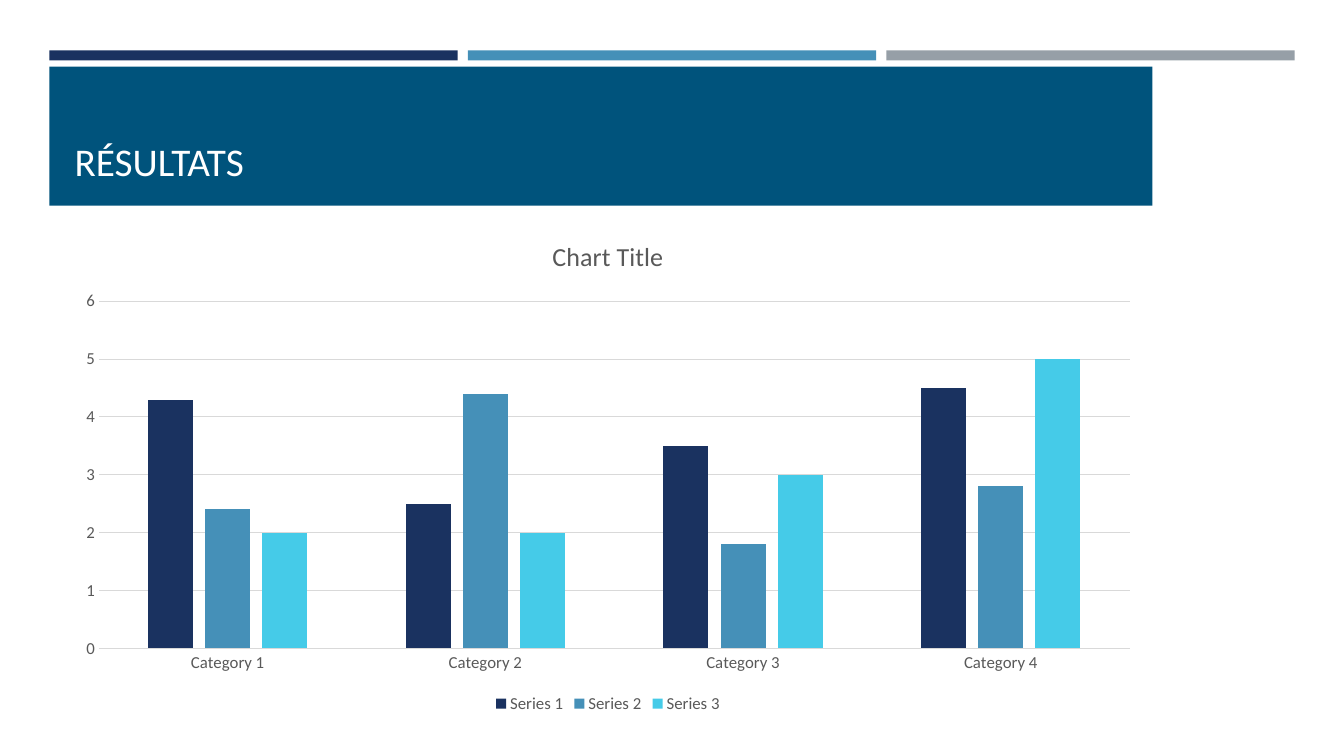
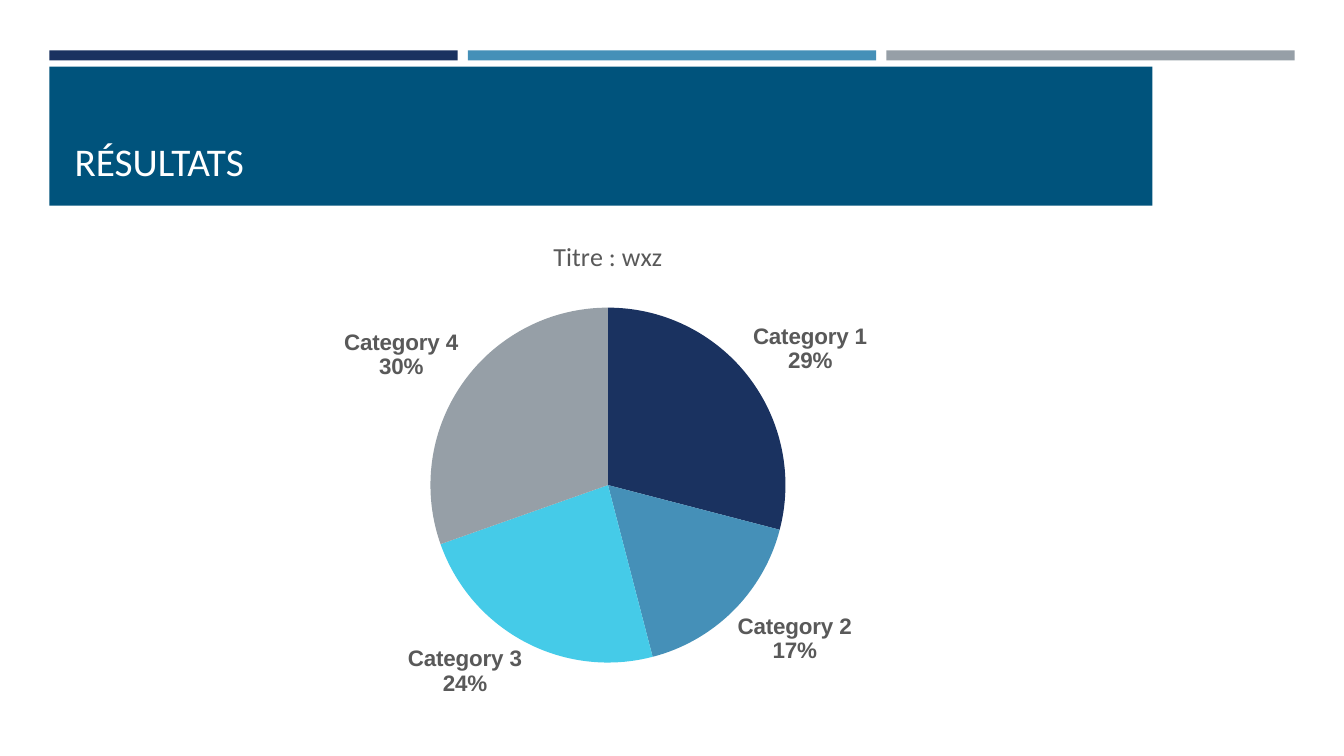
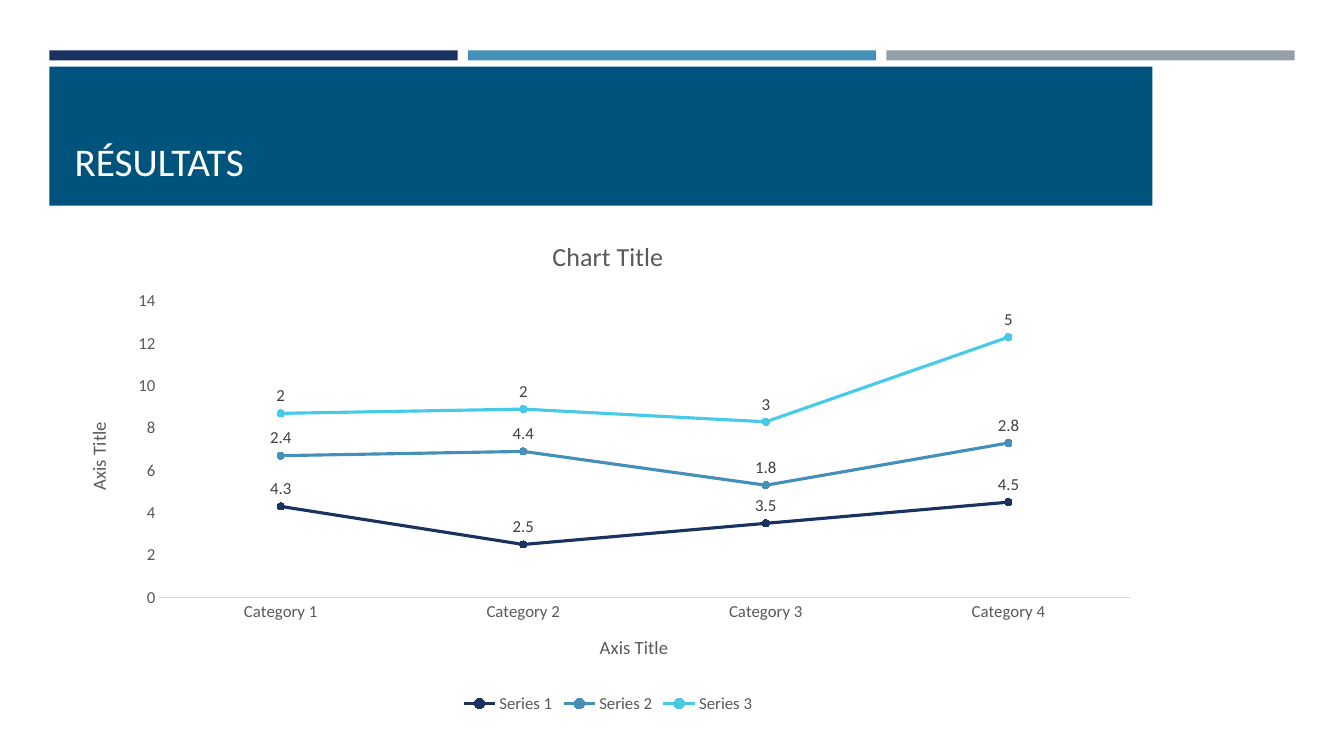
from lxml.etree import SubElement
from pptx import Presentation
from pptx.chart.data import CategoryChartData
from pptx.dml.color import RGBColor
from pptx.enum.chart import (
    XL_CHART_TYPE,
    XL_LABEL_POSITION,
    XL_LEGEND_POSITION,
    XL_MARKER_STYLE,
    XL_TICK_MARK,
)
from pptx.enum.shapes import MSO_SHAPE
from pptx.enum.text import MSO_ANCHOR, PP_ALIGN
from pptx.oxml.ns import qn
from pptx.util import Pt

PX = 9144  # 100 px to the inch

NAVY = RGBColor(0x1A, 0x32, 0x60)
BLUE = RGBColor(0x45, 0x90, 0xB8)
CYAN = RGBColor(0x45, 0xCB, 0xE8)
SILVER = RGBColor(0x96, 0x9F, 0xA7)
PETROL = RGBColor(0x00, 0x53, 0x7C)
WHITE = RGBColor(0xFF, 0xFF, 0xFF)
BLACK = RGBColor(0x00, 0x00, 0x00)
GRAY = RGBColor(0x59, 0x59, 0x59)
DARK_GRAY = RGBColor(0x40, 0x40, 0x40)
RULE_GRAY = RGBColor(0xD9, 0xD9, 0xD9)
PALETTE = [NAVY, BLUE, CYAN, SILVER]

CATEGORIES = [f"Category {number}" for number in range(1, 5)]
MEASURES = {
    "Series 1": [4.3, 2.5, 3.5, 4.5],
    "Series 2": [2.4, 4.4, 1.8, 2.8],
    "Series 3": [2, 2, 3, 5],
}


def set_font(font, size=12, color=GRAY, name="Calibri", bold=False):
    font.size = Pt(size)
    font.name = name
    font.bold = bold
    font.color.rgb = color


def write(frame, text, align=None, **font_format):
    para = frame.paragraphs[0]
    para.alignment = align
    span = para.add_run()
    span.text = text
    set_font(span.font, **font_format)


def set_plot_area(chart, **fractions):
    """Pin the inner plot area to x, y, w, h fractions of the chart."""
    plot_area = chart._chartSpace.find(f".//{qn('c:plotArea')}")
    for old_layout in plot_area.findall(qn("c:layout")):
        plot_area.remove(old_layout)
    layout = SubElement(plot_area, qn("c:layout"))
    plot_area.insert(0, layout)
    manual = SubElement(layout, qn("c:manualLayout"))
    settings = {"layoutTarget": "inner", "xMode": "edge", "yMode": "edge", **fractions}
    for tag, value in settings.items():
        SubElement(manual, qn(f"c:{tag}")).set("val", str(value))


class ResultsDeck:
    def __init__(self):
        self.deck = Presentation()
        self.deck.slide_width = 1333 * PX
        self.deck.slide_height = 750 * PX
        self.layout = self.deck.slide_layouts[5]
        self.slide = None

    def add_slide(self, title):
        self.slide = self.deck.slides.add_slide(self.layout)
        if len(self.deck.slides) == 1:
            self.add_bands()
        box = self.slide.shapes.title
        box.left, box.top, box.width, box.height = (n * PX for n in (64, 80, 1056, 108))
        frame = box.text_frame
        frame.word_wrap = True
        frame.vertical_anchor = MSO_ANCHOR.BOTTOM
        write(frame, title, align=PP_ALIGN.LEFT, size=28, color=WHITE)

    def add_bands(self):
        """Place the three stripes and the title band on the shared layout."""
        for column, color in enumerate([NAVY, BLUE, SILVER]):
            self.add_layout_band(49 + 415 * column, 50, 405, 10, color)
        self.add_layout_band(49, 66, 1094, 138, PETROL)

    def add_layout_band(self, left, top, width, height, color):
        band = self.slide.shapes.add_shape(
            MSO_SHAPE.RECTANGLE, left * PX, top * PX, width * PX, height * PX)
        band.shadow.inherit = False
        band.fill.solid()
        band.fill.fore_color.rgb = color
        band.line.fill.background()
        tree = self.layout.shapes._spTree
        band.element.nvSpPr.cNvPr.set("id", str(100 + len(tree)))
        tree.insert(2, band.element)

    def add_chart(self, kind, title, series):
        data = CategoryChartData()
        data.categories = CATEGORIES
        for name, values in series.items():
            data.add_series(name, values)
        chart = self.slide.shapes.add_chart(
            kind, 64 * PX, 216 * PX, 1078 * PX, 496 * PX, data).chart
        if kind == XL_CHART_TYPE.PIE:
            chart.replace_data(data)  # a new pie holds only the first series
        set_font(chart.font, size=10, color=BLACK)
        chart.has_title = True
        write(chart.chart_title.text_frame, title, size=18.6)
        chart.plots[0].vary_by_categories = kind == XL_CHART_TYPE.PIE
        return chart

    def style_axes(self, chart, maximum, step, gridlines):
        for axis in (chart.category_axis, chart.value_axis):
            axis.major_tick_mark = axis.minor_tick_mark = XL_TICK_MARK.NONE
            axis.has_major_gridlines = False
            set_font(axis.tick_labels.font)
        category_line = chart.category_axis.format.line
        category_line.color.rgb = RULE_GRAY
        category_line.width = Pt(0.75)
        value_axis = chart.value_axis
        value_axis.format.line.fill.background()
        value_axis.minimum_scale = 0
        value_axis.maximum_scale = maximum
        value_axis.major_unit = step
        if gridlines:
            value_axis.has_major_gridlines = True
            grid = value_axis.major_gridlines.format.line
            grid.color.rgb = RULE_GRAY
            grid.width = Pt(0.75)

    def add_legend(self, chart):
        chart.has_legend = True
        chart.legend.position = XL_LEGEND_POSITION.BOTTOM
        chart.legend.include_in_layout = False
        set_font(chart.legend.font)

    def add_column_chart(self, title, series):
        chart = self.add_chart(XL_CHART_TYPE.COLUMN_CLUSTERED, title, series)
        self.style_axes(chart, maximum=6, step=1, gridlines=True)
        self.add_legend(chart)
        plot = chart.plots[0]
        plot.gap_width = 219
        plot.overlap = -27
        for bars, color in zip(plot.series, PALETTE):
            bars.format.fill.solid()
            bars.format.fill.fore_color.rgb = color

    def add_pie_chart(self, title, series):
        chart = self.add_chart(XL_CHART_TYPE.PIE, title, series)
        chart.has_legend = False
        set_plot_area(chart, x=0.3, y=0.18, w=0.4, h=0.71)
        for order, pie in enumerate(chart.plots[0].series):
            for index, color in enumerate(PALETTE):
                fill = pie.points[index].format.fill
                fill.solid()
                fill.fore_color.rgb = color
            self.add_share_labels(pie)
            if order == 0:
                set_font(pie.data_labels.font, size=16, name="Arial", bold=True)

    def add_share_labels(self, pie):
        """Label each slice with its category above its percentage."""
        labels = pie.data_labels
        labels.show_value = False
        labels.show_category_name = labels.show_percentage = True
        labels.number_format = "0%"
        labels.number_format_is_linked = False
        labels.position = XL_LABEL_POSITION.OUTSIDE_END
        set_font(labels.font)
        element = labels._element
        separator = SubElement(element, qn("c:separator"))
        separator.text = "\n"
        element.find(qn("c:showBubbleSize")).addnext(separator)

    def add_line_chart(self, title, series, axis_title):
        chart = self.add_chart(XL_CHART_TYPE.LINE_MARKERS_STACKED, title, series)
        self.style_axes(chart, maximum=14, step=2, gridlines=False)
        self.add_legend(chart)
        for axis in (chart.category_axis, chart.value_axis):
            axis.has_title = True
            write(axis.axis_title.text_frame, axis_title, size=13.3)
        value_title = chart.value_axis.axis_title.text_frame
        value_title._txBody.bodyPr.set("rot", "-5400000")
        value_title._txBody.bodyPr.set("vert", "horz")
        for line, color in zip(chart.plots[0].series, PALETTE):
            line.smooth = False
            line.format.line.color.rgb = color
            line.format.line.width = Pt(2.25)
            marker = line.marker
            marker.style = XL_MARKER_STYLE.CIRCLE
            marker.size = 5
            marker.format.fill.solid()
            marker.format.fill.fore_color.rgb = color
            marker.format.line.color.rgb = color
            labels = line.data_labels
            labels.show_value = True
            labels.position = XL_LABEL_POSITION.ABOVE
            set_font(labels.font, color=DARK_GRAY)


def main():
    results = ResultsDeck()
    results.add_slide("RÉSULTATS")
    results.add_column_chart("Chart Title", MEASURES)
    results.add_slide("RÉSULTATS")
    results.add_pie_chart("Titre : wxz", MEASURES)
    results.add_slide("RÉSULTATS")
    results.add_line_chart("Chart Title", MEASURES, axis_title="Axis Title")
    results.deck.save("out.pptx")


if __name__ == "__main__":
    main()
